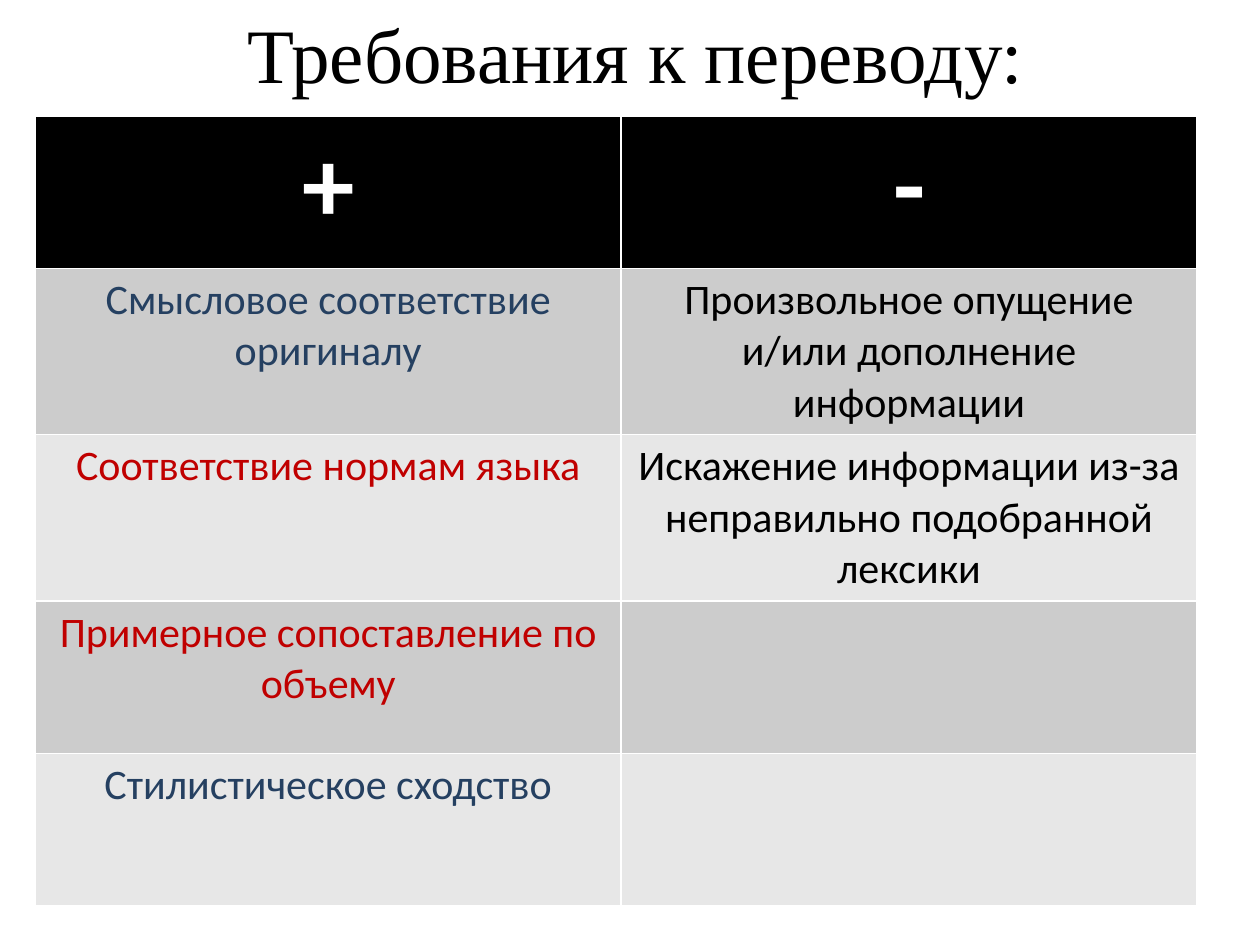
from typing import NamedTuple

from pptx import Presentation
from pptx.dml.color import RGBColor
from pptx.enum import text
from pptx.util import Inches, Pt

BLACK, WHITE = "000000", "FFFFFF"
NAVY, RED = "254061", "C00000"
BANDS = ("CCCCCC", "E7E7E7")
COLUMN_WIDTHS = (4.65, 4.57)
ROW_HEIGHT = 1.21


class Entry(NamedTuple):
    wording: str
    color: str = BLACK
    size: int = 24
    bold: bool = False


ROWS = (
    (Entry("+", WHITE, 60, True), Entry("-", WHITE, 60, True)),
    (Entry("Смысловое соответствие оригиналу", NAVY),
     Entry("Произвольное опущение и/или дополнение информации")),
    (Entry("Соответствие нормам языка", RED),
     Entry("Искажение информации из-за неправильно подобранной лексики")),
    (Entry("Примерное сопоставление по объему", RED), Entry("")),
    (Entry("Стилистическое сходство", NAVY), Entry("")),
)


def write(paragraph, entry: Entry, font_name: str) -> None:
    paragraph.text = entry.wording
    paragraph.alignment = text.PP_ALIGN.CENTER
    font = paragraph.font
    font.name, font.size, font.bold = font_name, Pt(entry.size), entry.bold
    font.color.rgb = RGBColor.from_string(entry.color)


def add_heading(slide) -> None:
    heading = slide.shapes.title
    heading.left, heading.top = Inches(0.2), Inches(0)
    heading.width, heading.height = Inches(9.69), Inches(0.84)
    heading.text_frame.vertical_anchor = text.MSO_ANCHOR.MIDDLE
    write(heading.text_frame.paragraphs[0],
          Entry("Требования к переводу:", size=44), "Times New Roman")


def add_requirements(slide) -> None:
    """Add the plus/minus table; its default style supplies the white borders."""
    table = slide.shapes.add_table(
        len(ROWS), len(COLUMN_WIDTHS), Inches(0.28), Inches(0.92),
        Inches(sum(COLUMN_WIDTHS)), Inches(ROW_HEIGHT * len(ROWS))).table
    for column, width in zip(table.columns, COLUMN_WIDTHS):
        column.width = Inches(width)
    for r, entries in enumerate(ROWS):
        table.rows[r].height = Inches(ROW_HEIGHT)
        fill = BANDS[(r - 1) % 2] if r else BLACK
        for c, entry in enumerate(entries):
            cell = table.cell(r, c)
            cell.fill.solid()
            cell.fill.fore_color.rgb = RGBColor.from_string(fill)
            if entry.wording:
                write(cell.text_frame.paragraphs[0], entry, "Calibri")


def main() -> None:
    deck = Presentation()
    deck.slide_width, deck.slide_height = Inches(10), Inches(7.5)
    slide = deck.slides.add_slide(deck.slide_layouts[5])
    add_heading(slide)
    add_requirements(slide)
    deck.save("out.pptx")


if __name__ == "__main__":
    main()
